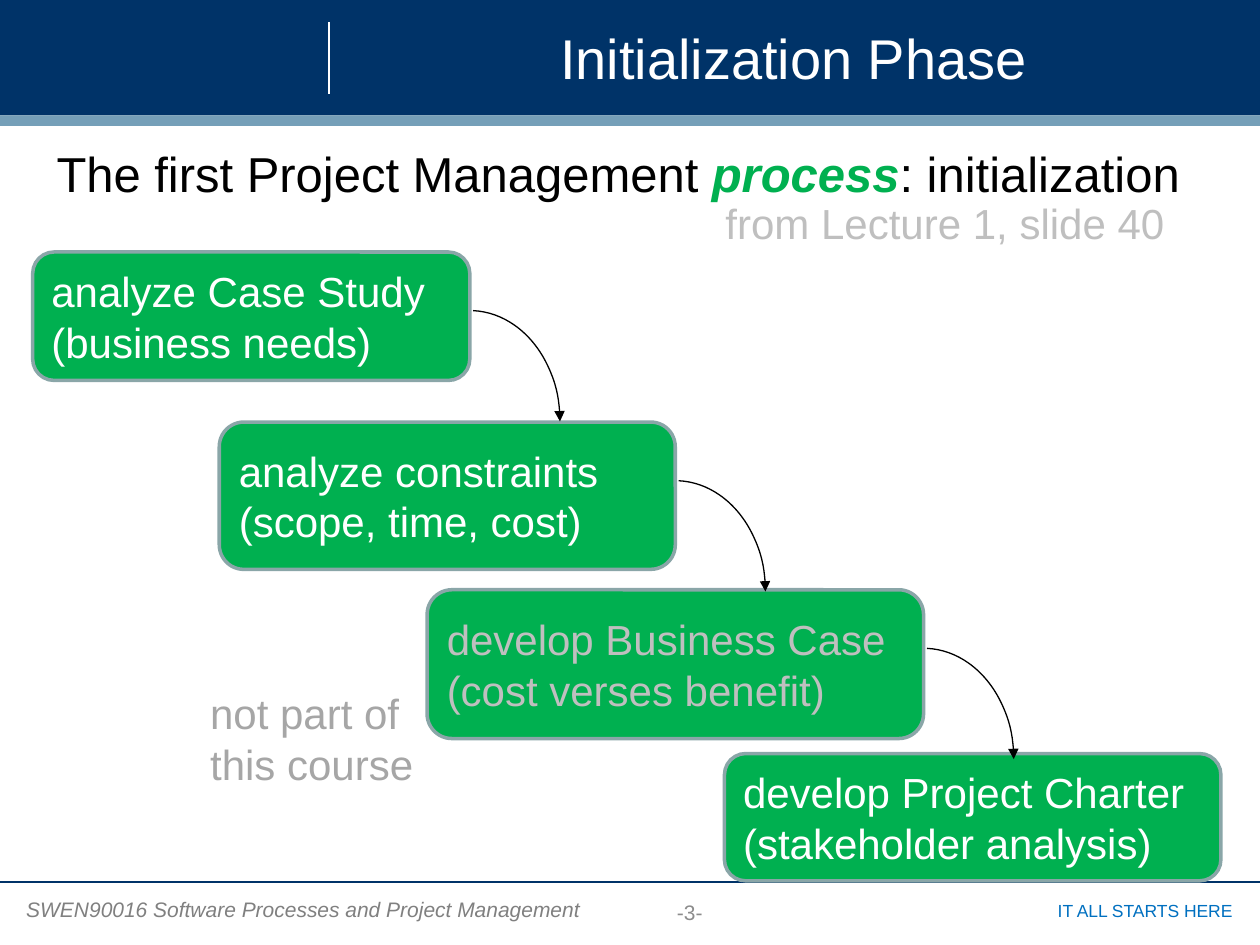
from dataclasses import dataclass

from lxml import etree
from pptx import Presentation
from pptx.dml.color import RGBColor
from pptx.enum import shapes, text
from pptx.oxml import ns
from pptx.util import Pt


@dataclass(frozen=True)
class Theme:
    font: str = "Arial"
    navy: str = "003368"
    steel: str = "759FB8"
    green: str = "00B050"
    border: str = "8AA6A8"
    white: str = "FFFFFF"
    black: str = "000000"
    faded: str = "BFBFBF"
    aside: str = "A6A6A6"
    course: str = "808080"
    number: str = "8C8C8C"
    slogan: str = "0070C0"
    title_size: float = 32
    lead_size: float = 28
    body_size: float = 24
    footer_size: float = 12
    slogan_size: float = 10
    hairline: float = 0.75
    outline: float = 2


@dataclass(frozen=True)
class Area:
    left: float
    top: float
    width: float
    height: float

    def lengths(self) -> tuple:
        return Pt(self.left), Pt(self.top), Pt(self.width), Pt(self.height)


@dataclass(frozen=True)
class Span:
    words: str
    color: str
    size: float
    bold: bool = False
    italic: bool = False


@dataclass(frozen=True)
class Step:
    area: Area
    lines: tuple
    color: str


THEME = Theme()
SLIDE_WIDTH, SLIDE_HEIGHT = 720, 540
LEFT, CENTER, RIGHT = text.PP_ALIGN.LEFT, text.PP_ALIGN.CENTER, text.PP_ALIGN.RIGHT
TOP, MIDDLE = text.MSO_ANCHOR.TOP, text.MSO_ANCHOR.MIDDLE

STEPS = (
    Step(Area(18.7, 144, 249.8, 73.4),
         ("analyze Case Study", "(business needs)"), THEME.white),
    Step(Area(125.3, 241.2, 260.6, 84.2),
         ("analyze constraints", "(scope, time, cost)"), THEME.white),
    Step(Area(244.1, 337, 283.7, 85),
         ("develop Business Case", "(cost verses benefit)"), THEME.faded),
    Step(Area(414, 430.6, 283.7, 72.7),
         ("develop Project Charter", "(stakeholder analysis)"), THEME.white),
)


def write(shape, paragraphs: list, align=LEFT, anchor=TOP, wrap: bool = True) -> None:
    """Fill a shape with paragraphs, each a list of spans."""
    frame = shape.text_frame
    frame.word_wrap = wrap
    frame.vertical_anchor = anchor
    for index, spans in enumerate(paragraphs):
        para = frame.paragraphs[0] if index == 0 else frame.add_paragraph()
        para.alignment = align
        for span in spans:
            run = para.add_run()
            run.text = span.words
            formats = {"name": THEME.font, "size": Pt(span.size),
                       "bold": span.bold, "italic": span.italic}
            for name, value in formats.items():
                setattr(run.font, name, value)
            run.font.color.rgb = RGBColor.from_string(span.color)


def add_text(page, area: Area, spans: list, **layout) -> None:
    write(page.shapes.add_textbox(*area.lengths()), [spans], **layout)


def add_block(page, kind, area: Area, fill: str, border: str = ""):
    box = page.shapes.add_shape(kind, *area.lengths())
    box.shadow.inherit = False
    box.fill.solid()
    box.fill.fore_color.rgb = RGBColor.from_string(fill)
    if border:
        box.line.color.rgb = RGBColor.from_string(border)
        box.line.width = Pt(THEME.outline)
    else:
        box.line.fill.background()
    return box


def add_rule(page, x1: float, y1: float, x2: float, y2: float, color: str) -> None:
    rule = page.shapes.add_connector(
        shapes.MSO_CONNECTOR.STRAIGHT, Pt(x1), Pt(y1), Pt(x2), Pt(y2))
    rule.line.color.rgb = RGBColor.from_string(color)
    rule.line.width = Pt(THEME.hairline)
    etree.SubElement(rule._element.spPr, ns.qn("a:effectLst"))


def add_step(page, step: Step) -> None:
    box = add_block(page, shapes.MSO_SHAPE.ROUNDED_RECTANGLE, step.area,
                    THEME.green, THEME.border)
    paragraphs = [[Span(line, step.color, THEME.body_size)] for line in step.lines]
    write(box, paragraphs, anchor=MIDDLE)


def add_arc_from(page, area: Area) -> None:
    """Curve an arrow from the right side of a step down to the next one."""
    curve = Area(area.left + area.width - 51.5, area.top + 33.5, 103, 126.7)
    arc = page.shapes.add_shape(shapes.MSO_SHAPE.ARC, *curve.lengths())
    arc.shadow.inherit = False
    arc.adjustments[0] = 163.05
    arc.adjustments[1] = 0
    arc.fill.background()
    arc.line.color.rgb = RGBColor.from_string(THEME.black)
    arc.line.width = Pt(THEME.hairline)
    outline = arc._element.spPr.find(ns.qn("a:ln"))
    etree.SubElement(outline, ns.qn("a:tailEnd"), type="triangle")


def add_frame(page) -> None:
    """Draw the header band and the footer."""
    rectangle = shapes.MSO_SHAPE.RECTANGLE
    add_block(page, rectangle, Area(0, 0, SLIDE_WIDTH, 66), THEME.navy)
    add_rule(page, 188, 12.5, 188, 53.5, THEME.white)
    add_rule(page, 0, 504, SLIDE_WIDTH, 504, THEME.navy)
    add_block(page, rectangle, Area(0, 66, SLIDE_WIDTH, 6), THEME.steel)
    add_text(page, Area(7.9, 509, 333.4, 21.6),
             [Span("SWEN90016 Software Processes and Project Management",
                   THEME.course, THEME.footer_size, italic=True)], wrap=False)
    add_text(page, Area(563, 510.5, 148.3, 19.4),
             [Span("IT ALL STARTS HERE", THEME.slogan, THEME.slogan_size)], align=RIGHT)
    add_text(page, Area(285.8, 509, 216.7, 24.5),
             [Span("-3-", THEME.number, THEME.footer_size)],
             align=CENTER, anchor=MIDDLE)


def add_content(page) -> None:
    aside = add_block(page, shapes.MSO_SHAPE.RECTANGLE,
                      Area(113, 389.5, 154.8, 65.5), THEME.white)
    write(aside, [[Span("not part of this course", THEME.aside, THEME.body_size)]])
    add_text(page, Area(193.7, 5.8, 519.8, 54),
             [Span("Initialization Phase", THEME.white, THEME.title_size)],
             align=CENTER, anchor=MIDDLE)
    add_text(page, Area(25.2, 78.5, 694.8, 54.7),
             [Span("The first Project Management ", THEME.black, THEME.lead_size),
              Span("process", THEME.green, THEME.lead_size, bold=True, italic=True),
              Span(": initialization", THEME.black, THEME.lead_size)])
    for step in STEPS:
        add_step(page, step)
    for step in STEPS[:-1]:
        add_arc_from(page, step.area)
    add_text(page, Area(407.5, 109.4, 312.5, 37.4),
             [Span("from Lecture 1, slide 40", THEME.faded, THEME.body_size)])


def main() -> None:
    deck = Presentation()
    deck.slide_width, deck.slide_height = Pt(SLIDE_WIDTH), Pt(SLIDE_HEIGHT)
    page = deck.slides.add_slide(deck.slide_layouts[6])
    add_frame(page)
    add_content(page)
    deck.save("out.pptx")


if __name__ == "__main__":
    main()
